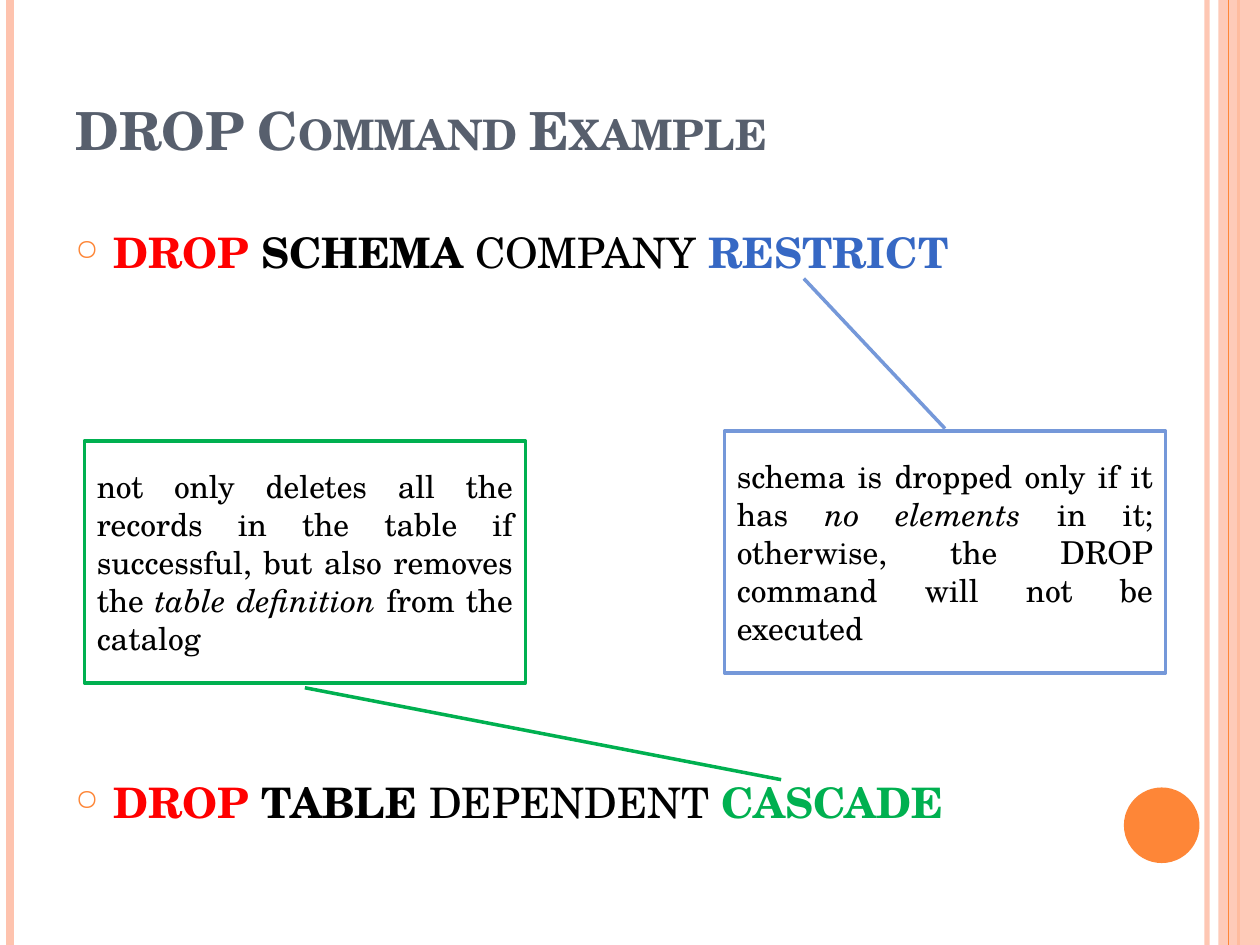
from lxml import etree
from pptx import Presentation
from pptx.dml.color import RGBColor
from pptx.enum import shapes, text
from pptx.oxml.ns import qn
from pptx.util import Inches, Pt

FONT = "TeX Gyre Schola"
ORANGE = RGBColor(0xFE, 0x86, 0x37)
PEACH = RGBColor(0xFE, 0xC3, 0xAE)
SLATE = RGBColor(0x57, 0x5F, 0x6D)
RED = RGBColor(0xFF, 0x00, 0x00)
BLUE = RGBColor(0x36, 0x68, 0xC4)
LIGHT_BLUE = RGBColor(0x75, 0x98, 0xD9)
GREEN = RGBColor(0x00, 0xB0, 0x50)
BLACK = RGBColor(0x00, 0x00, 0x00)
WHITE = RGBColor(0xFF, 0xFF, 0xFF)


def add_span(para, words, size=18, color=BLACK, bold=False, italic=False, small_caps=False):
    span = para.add_run()
    span.text = words
    font = span.font
    font.name, font.size, font.bold, font.italic = FONT, Pt(size), bold, italic
    font.color.rgb = color
    if small_caps:
        span._r.get_or_add_rPr().set("cap", "small")


def set_opacity(fill_parent, percent):
    color = next(fill_parent.iter(qn("a:srgbClr")))
    etree.SubElement(color, qn("a:alpha"), val=str(percent * 1000))


deck = Presentation()
deck.slide_width, deck.slide_height = Inches(10), Inches(7.5)
page = deck.slides.add_slide(deck.slide_layouts[6])

# Vertical stripes; the translucent band covers the third one
for x, color, width, opacity in [
    (9.58, PEACH, 3, 93),
    (0.08, PEACH, 4.5, 100),
    (9.83, ORANGE, 1.5, 100),
    (None, PEACH, 0, 87),
    (9.75, ORANGE, 0.75, 100),
]:
    if x is None:
        band = page.shapes.add_shape(
            shapes.MSO_SHAPE.RECTANGLE, Inches(9.67), 0, Inches(0.33), Inches(7.5))
        band.shadow.inherit = False
        band.fill.solid()
        band.fill.fore_color.rgb = color
        band.line.fill.background()
        set_opacity(band._element.spPr, opacity)
        continue
    stripe = page.shapes.add_connector(
        shapes.MSO_CONNECTOR.STRAIGHT, Inches(x), 0, Inches(x), Inches(7.5))
    stripe.line.color.rgb = color
    stripe.line.width = Pt(width)
    if opacity < 100:
        set_opacity(stripe._element.spPr, opacity)
    etree.SubElement(stripe._element.spPr, qn("a:effectLst"))

# Corner disc
disc = page.shapes.add_shape(
    shapes.MSO_SHAPE.OVAL, Inches(8.92), Inches(6.25), Inches(0.6), Inches(0.6))
disc.shadow.inherit = False
disc.fill.solid()
disc.fill.fore_color.rgb = ORANGE
disc.line.fill.background()

# Title
title = page.shapes.add_textbox(Inches(0.5), Inches(0.08), Inches(8.17), Inches(1.25))
title.text_frame.word_wrap = True
title.text_frame.vertical_anchor = text.MSO_ANCHOR.BOTTOM
add_span(title.text_frame.paragraphs[0], "DROP Command Example",
         size=30, color=SLATE, bold=True, small_caps=True)

# Bulleted statements
for top, keyword, name, option, color in [
    (1.75, " SCHEMA ", "COMPANY ", "RESTRICT", BLUE),
    (6.11, " TABLE ", "DEPENDENT ", "CASCADE", GREEN),
]:
    box = page.shapes.add_textbox(Inches(0.5), Inches(top), Inches(8.17), Inches(0.5))
    box.text_frame.word_wrap = True
    para = box.text_frame.paragraphs[0]
    para.alignment = text.PP_ALIGN.JUSTIFY
    props = para._p.get_or_add_pPr()
    props.set("marL", str(Inches(0.3)))
    props.set("indent", str(-Inches(0.3)))
    bullet_color = etree.SubElement(props, qn("a:buClr"))
    etree.SubElement(bullet_color, qn("a:srgbClr"), val=str(ORANGE))
    etree.SubElement(props, qn("a:buSzPct"), val="70000")
    etree.SubElement(props, qn("a:buChar"), char="○")
    add_span(para, "DROP", size=24, color=RED, bold=True)
    add_span(para, keyword, size=24, bold=True)
    add_span(para, name, size=24)
    add_span(para, option, size=24, color=color, bold=True)

# Callouts: the adjustments place the leader's two ends as (y, x) fractions
for left, top, color, leader, before, stressed, after in [
    (5.75, 3.42, LIGHT_BLUE, (-0.01, 0.5, -0.63, 0.18),
     "schema is dropped only if it has ", "no elements ",
     "in it; otherwise, the DROP command will not be executed"),
    (0.67, 3.5, GREEN, (1.02, 0.5, 1.4, 1.58),
     "not only deletes all the records in the table if successful, but also removes the ",
     "table definition ", "from the catalog"),
]:
    callout = page.shapes.add_shape(
        shapes.MSO_SHAPE.LINE_CALLOUT_1, Inches(left), Inches(top), Inches(3.5), Inches(1.92))
    callout.shadow.inherit = False
    for index, value in enumerate(leader):
        callout.adjustments[index] = value
    callout.fill.solid()
    callout.fill.fore_color.rgb = WHITE
    callout.line.color.rgb = color
    callout.line.width = Pt(2)
    callout.text_frame.word_wrap = True
    callout.text_frame.vertical_anchor = text.MSO_ANCHOR.MIDDLE
    para = callout.text_frame.paragraphs[0]
    para.alignment = text.PP_ALIGN.JUSTIFY
    add_span(para, before)
    add_span(para, stressed, italic=True)
    add_span(para, after)

deck.save("out.pptx")
